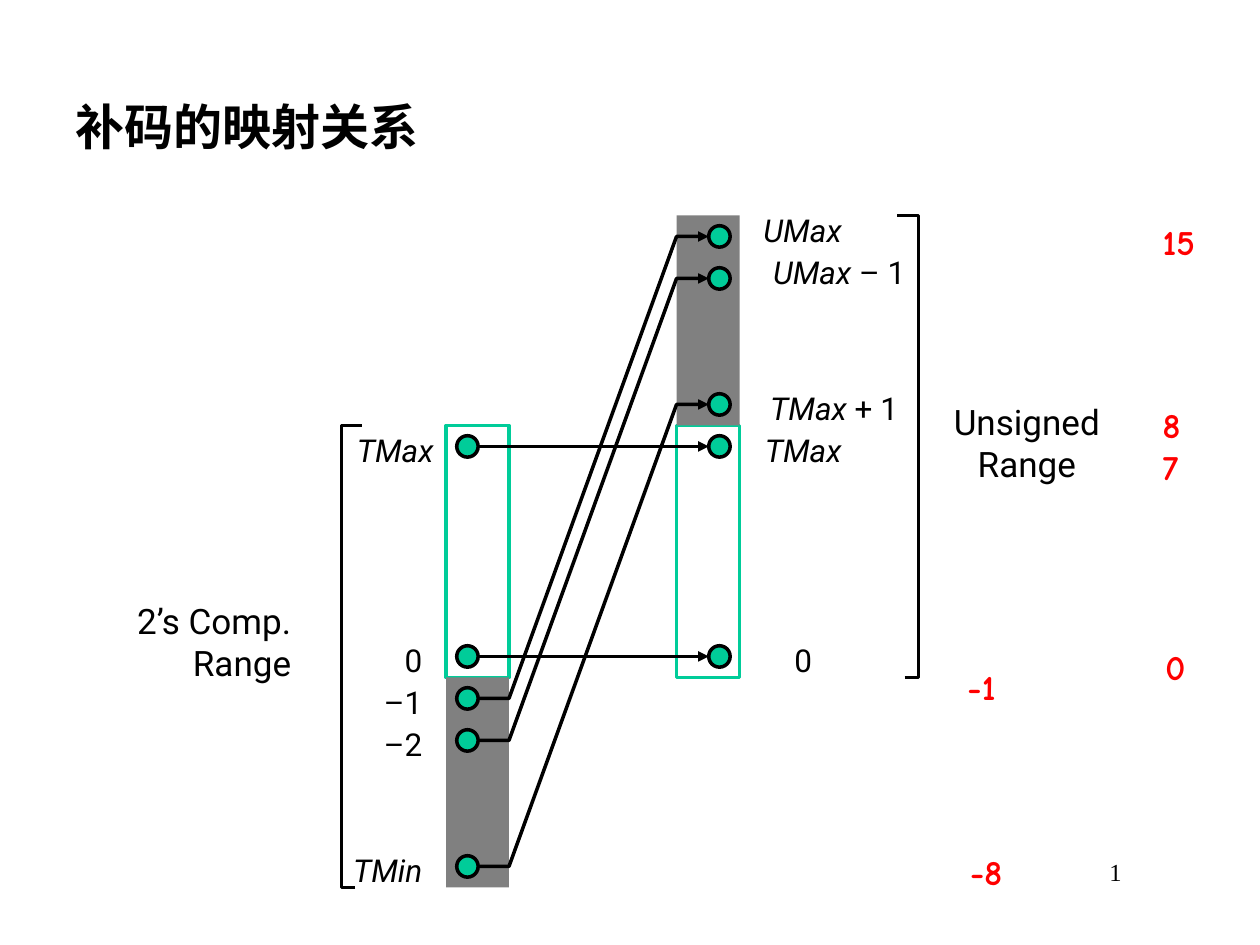
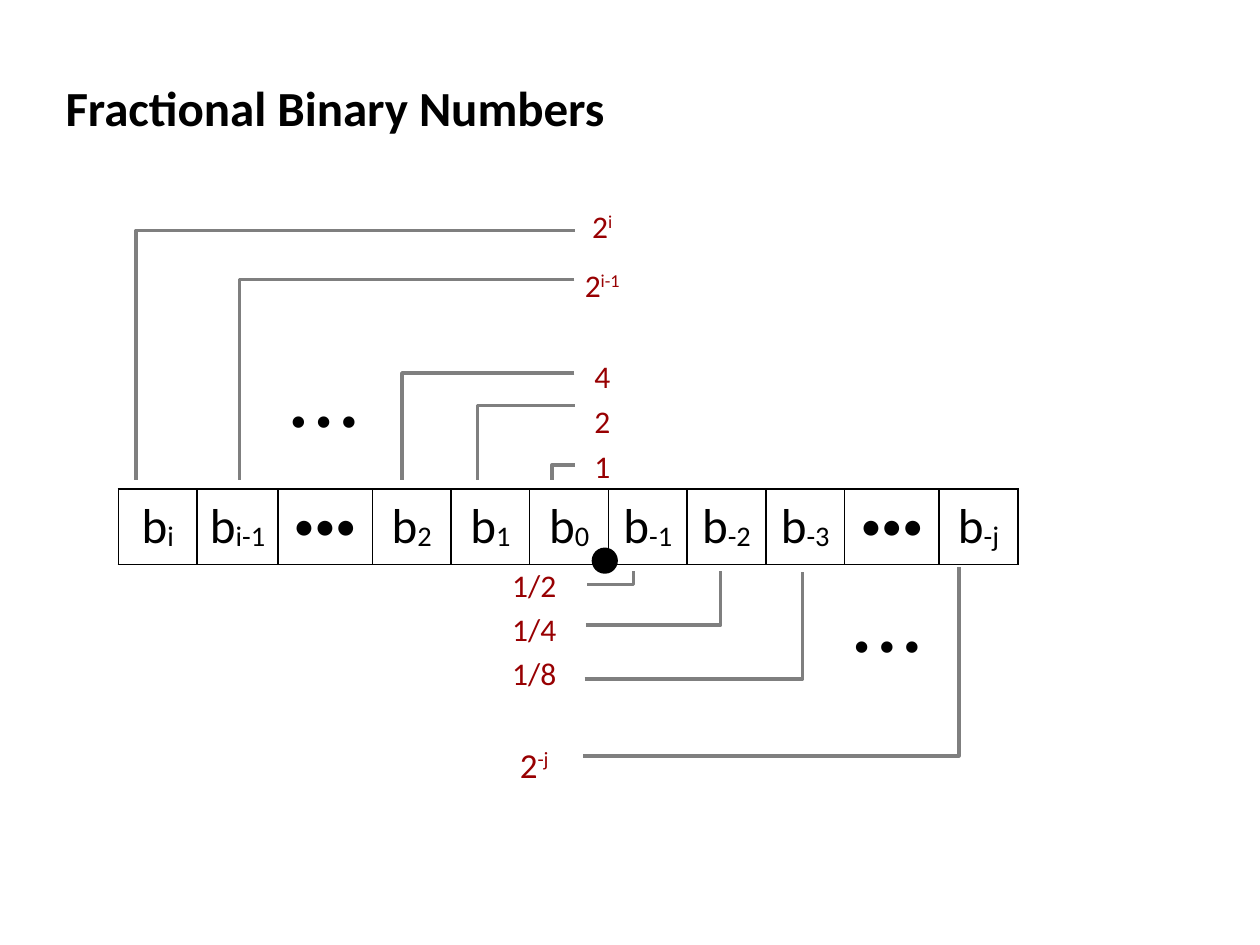
from itertools import accumulate
from lxml import etree
from pptx import Presentation
from pptx.dml.color import RGBColor
from pptx.enum import shapes, text
from pptx.oxml import parse_xml
from pptx.oxml.ns import nsdecls, qn
from pptx.util import Inches, Pt

BLACK, WHITE, GRAY, WIRE = "000000", "FFFFFF", "808080", "7F7F7F"
GREEN, RED, DARK_RED = "00CC99", "FF0000", "980002"
ALIGN = {"l": text.PP_ALIGN.LEFT, "c": text.PP_ALIGN.CENTER, "r": text.PP_ALIGN.RIGHT}
SHAPE = shapes.MSO_SHAPE

# Slide 1: values are row numbers counted upwards from zero
TWOS_X, UNSIGNED_X, BAR_W, DOT = 3.54, 5.37, 0.5, 0.17
TWOS_DOT, UNSIGNED_DOT = 3.71, 5.71
BARS = [  # left, top row, bottom row, fill, line
    (UNSIGNED_X, 5.5, -0.5, WHITE, GREEN),
    (TWOS_X, 5.5, -0.5, WHITE, GREEN),
    (TWOS_X, -0.5, -5.5, GRAY, None),
    (UNSIGNED_X, 10.5, 5.5, GRAY, None),
]
MAPPING = [(0, 0), (5, 5), (-1, 10), (-2, 9), (-5, 6)]
I = {"italic": True}
ROW_LABELS = [  # row, rise of box above row, left, width, align, wrap, runs
    (0, 0.17, 2.62, 0.83, "r", True, ["0"]),
    (5, 0.17, 2.71, 0.83, "r", False, [("TMax", I)]),
    (-5, 0.17, 2.69, 0.76, "r", False, [("TMin", I)]),
    (-1, 0.17, 2.62, 0.83, "r", True, ["–1"]),
    (-2, 0.17, 2.62, 0.83, "r", True, ["–2"]),
    (0, 0.17, 5.96, 0.83, "c", True, ["0"]),
    (10, 0.25, 5.87, 1, "c", True, [("UMax", I)]),
    (9, 0.25, 5.87, 1.58, "c", True, [("UMax", I), " – 1"]),
    (5, 0.17, 5.96, 0.83, "c", False, [("TMax", I)]),
    (6, 0.17, 5.96, 1.32, "c", False, [("TMax", I), " + 1"]),
]
RANGE_LABELS = [
    (0.96, 4.71, 1.45, "r", [["2’s Comp."], ["Range"]]),
    (7.46, 3.13, 1.38, "c", [["Unsigned"], ["Range"]]),
]
BRACKETS = [  # lower tip, spine, upper tip, bottom row, top row
    (2.82, 2.71, 2.87, -5.5, 5.5),
    (7.18, 7.29, 7.12, -0.5, 10.5),
]
EXAMPLES = [
    ("0", 9.15, 5.07, 0.37), ("7", 9.13, 3.49, 0.37), ("8", 9.13, 3.15, 0.37),
    ("15", 9.13, 1.7, 0.5), ("-1", 7.58, 5.23, 0.45), ("-8", 7.6, 6.7, 0.49),
]

# Slide 2
SUP, SUB = {"baseline": 32}, {"baseline": -6}
WEIGHTS = [["2", ("i", SUP)], ["2", ("i-1", SUP)], [], ["4"], ["2"], ["1"]]
WEIGHT_ROWS = [0.47, 0.47, 0.29, 0.36, 0.36, 0.36]
FRACTIONS = [["1/2"], ["1/4"], ["1/8"], [],
             [("2", {"size": 20}), ("-j", {"size": 20, **SUP})]]
FRACTION_ROWS = [0.35, 0.35, 0.35, 0.22, 0.49]
BITS = ["i", "i-1", None, "2", "1", "0", "-1", "-2", "-3", None, "-j"]
BITS_W, WIDE, SECOND_W = 7.14, 0.75, 0.64
BIT_W = (BITS_W - 2 * WIDE - SECOND_W) / 8
WIRES_ABOVE = [(4.38, 3.69), (3.79, 3.22), (3.19, 2.96), (1.9, 2.22), (1.08, 1.83)]
WIRES_BELOW = [(4.66, 4.64, 5.03, 4.53), (4.65, 4.96, 5.72, 4.53),
               (4.64, 5.39, 6.37, 4.54), (4.63, 6, 7.61, 4.5)]
ELLIPSES = [(6.74, 4.83), (2.27, 3.04)]


def rgb(hex_colour):
    return RGBColor.from_string(hex_colour)


def box(*lengths):
    return [Inches(n) for n in lengths]


def write(tf, paragraphs, size=18, font="Roboto", color=BLACK, bold=False,
          align="l", wrap=True, anchor=None):
    """Fill a frame; a run is a string or (string, overrides)."""
    tf.word_wrap = wrap
    if anchor:
        tf.vertical_anchor = anchor
    for n, runs in enumerate(paragraphs):
        p = tf.add_paragraph() if n else tf.paragraphs[0]
        p.alignment = ALIGN[align]
        for run in runs:
            words, style = (run, {}) if isinstance(run, str) else run
            r = p.add_run()
            r.text = words
            f = r.font
            f.name, f.size, f.bold = font, Pt(style.get("size", size)), bold
            f.italic = style.get("italic", False)
            f.color.rgb = rgb(color)
            if "baseline" in style:
                r._r.get_or_add_rPr().set("baseline", str(style["baseline"] * 1000))


def add_text(s, at, paragraphs, grow=True, **fmt):
    tf = s.shapes.add_textbox(*box(*at)).text_frame
    write(tf, paragraphs, **fmt)
    if grow:
        tf.auto_size = text.MSO_AUTO_SIZE.SHAPE_TO_FIT_TEXT


def add_title(prs, words, at, **fmt):
    s = prs.slides.add_slide(prs.slide_layouts[5])
    sp = s.shapes.title
    sp.left, sp.top, sp.width, sp.height = box(*at)
    write(sp.text_frame, [[words]], size=28, bold=True,
          anchor=text.MSO_ANCHOR.MIDDLE, **fmt)
    return s


def set_line(sp, color, arrow=False):
    sp.line.color.rgb = rgb(color)
    sp.line.width = Pt(2)
    if arrow:
        etree.SubElement(sp.line._get_or_add_ln(), qn("a:tailEnd"), type="triangle")


def add_shape(s, kind, at, fill, line=None):
    sp = s.shapes.add_shape(kind, *box(*at))
    sp.shadow.inherit = False
    sp.fill.solid()
    sp.fill.fore_color.rgb = rgb(fill)
    if line:
        set_line(sp, line)
    else:
        sp.line.fill.background()
    return sp


def add_polyline(s, points, color, arrow=False):
    start, *rest = [tuple(box(*point)) for point in points]
    fb = s.shapes.build_freeform(*start)
    fb.add_line_segments(rest, close=False)
    sp = fb.convert_to_shape()
    sp.shadow.inherit = False
    sp.fill.background()
    set_line(sp, color, arrow)


def add_arrow(s, x1, y1, x2, y2):
    line = s.shapes.add_connector(shapes.MSO_CONNECTOR.STRAIGHT, *box(x1, y1, x2, y2))
    set_line(line, BLACK, arrow=True)
    etree.SubElement(line._element.spPr, qn("a:effectLst"))


def add_table(s, left, top, widths, heights, cells, border, margin=0, **fmt):
    table = s.shapes.add_table(len(heights), len(widths),
                               *box(left, top, sum(widths), sum(heights))).table
    table.first_row = table.horz_banding = False
    for column, width in zip(table.columns, widths):
        column.width = Inches(width)
    for row, height in zip(table.rows, heights):
        row.height = Inches(height)
    for cell, runs in zip(table.iter_cells(), cells):
        cell.margin_left = cell.margin_right = Inches(margin)
        cell.margin_top = cell.margin_bottom = Inches(margin)
        cell.vertical_anchor = text.MSO_ANCHOR.MIDDLE
        cell.fill.background()
        write(cell.text_frame, [runs], font="Calibri", align="c", **fmt)
        for n, side in enumerate("LRTB"):
            cell._tc.get_or_add_tcPr().insert(n, parse_xml(
                f'<a:ln{side} {nsdecls("a")} w="12700"><a:solidFill>'
                f'<a:srgbClr val="{border}"/></a:solidFill></a:ln{side}>'))


def row_y(row):
    return 5.21 - row / 3


def mapping_slide(prs):
    s = add_title(prs, "补码的映射关系", (0.5, 0.5, 8.83, 1), font="Comic Neue")
    add_text(s, (7.58, 6.75, 1.42, 0.5), [["1"]], grow=False, size=14,
             font="Times New Roman", align="r")
    for left, top, bottom, fill, line in BARS:
        add_shape(s, SHAPE.RECTANGLE,
                  (left, row_y(top), BAR_W, row_y(bottom) - row_y(top)), fill, line)
    for twos, unsigned in MAPPING:
        y1, y2 = row_y(twos), row_y(unsigned)
        for x, y in ((TWOS_DOT, y1), (UNSIGNED_DOT, y2)):
            add_shape(s, SHAPE.OVAL, (x - DOT / 2, y - DOT / 2, DOT, DOT), GREEN, BLACK)
        x1, x2 = TWOS_DOT + DOT / 2, UNSIGNED_DOT - DOT / 2
        if twos == unsigned:
            add_arrow(s, x1, y1, x2, y2)
        else:
            add_polyline(s, [(x1, y1), (TWOS_X + BAR_W, y1), (UNSIGNED_X, y2), (x2, y2)],
                         BLACK, arrow=True)
    for row, rise, left, width, align, wrap, runs in ROW_LABELS:
        add_text(s, (left, row_y(row) - rise, width, 0.4), [runs], align=align, wrap=wrap)
    for left, top, width, align, lines in RANGE_LABELS:
        add_text(s, (left, top, width, 0.77), lines, size=20, align=align, wrap=False)
    for low_tip, spine, high_tip, low, high in BRACKETS:
        add_polyline(s, [(low_tip, row_y(low)), (spine, row_y(low)),
                         (spine, row_y(high)), (high_tip, row_y(high))], BLACK)
    for value, left, top, width in EXAMPLES:
        add_text(s, (left, top, width, 0.44), [[value]], size=20, font="Comic Neue",
                 color=RED, bold=True, wrap=False)


def fraction_slide(prs):
    s = add_title(prs, "Fractional Binary Numbers", (0.42, 0, 7.51, 1.7), font="Calibri")
    add_table(s, 4.46, 1.57, [0.64], WEIGHT_ROWS, WEIGHTS, WHITE, color=DARK_RED)
    add_table(s, 3.88, 4.48, [0.72], FRACTION_ROWS, FRACTIONS, WHITE, color=DARK_RED)
    widths = [WIDE if bit is None else BIT_W for bit in BITS]
    widths[1] = SECOND_W
    cells = [["b", (bit, SUB)] if bit else [("•••", {"size": 24})] for bit in BITS]
    add_table(s, 0.94, 3.88, widths, [0.6], cells, BLACK, margin=0.06, size=28)
    for left, top in ELLIPSES:
        tf = add_shape(s, SHAPE.RECTANGLE, (left, top, 0.61, 0.58), WHITE).text_frame
        tf.margin_left = tf.margin_right = tf.margin_top = tf.margin_bottom = Inches(0.04)
        write(tf, [["• • •"]], size=24, font="Times New Roman", bold=True, wrap=False,
              anchor=text.MSO_ANCHOR.MIDDLE)
    for x, y in WIRES_ABOVE:
        add_polyline(s, [(4.56, y), (x, y), (x, 3.81)], WIRE)
    for left, y, x, top in WIRES_BELOW:
        add_polyline(s, [(left, y), (x, y), (x, top)], WIRE)
    add_shape(s, SHAPE.OVAL, (4.71, 4.36, 0.18, 0.18), BLACK, BLACK)


def main():
    prs = Presentation()
    prs.slide_width, prs.slide_height = box(10, 7.5)
    mapping_slide(prs)
    fraction_slide(prs)
    prs.save("out.pptx")


if __name__ == "__main__":
    main()
